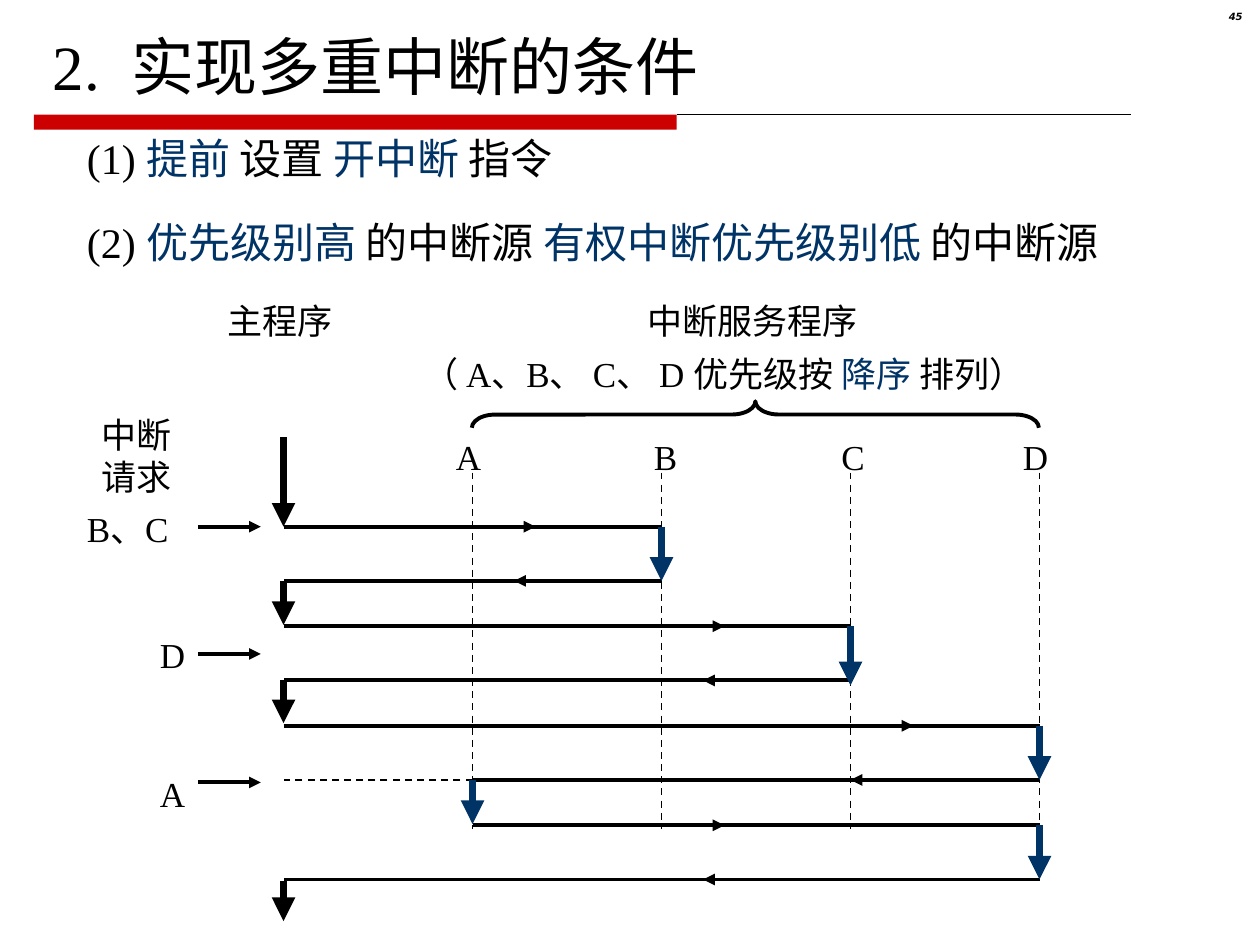
from lxml import etree
from pptx import Presentation
from pptx.dml.color import RGBColor
from pptx.enum.dml import MSO_LINE
from pptx.enum.shapes import MSO_CONNECTOR, MSO_SHAPE
from pptx.enum.text import MSO_ANCHOR, MSO_AUTO_SIZE, PP_ALIGN
from pptx.oxml.ns import qn
from pptx.util import Inches, Pt

BLACK, NAVY, RED = "000000", "003366", "CC0000"
SERIF = "Times New Roman"

TITLE = "2.  实现多重中断的条件"
CONDITIONS = [
    [("(1) ", BLACK), ("提前 ", NAVY), ("设置 ", BLACK), ("开中断 ", NAVY), ("指令", BLACK)],
    [("(2) ", BLACK), ("优先级别高 ", NAVY), ("的中断源 ", BLACK),
     ("有权中断优先级别低 ", NAVY), ("的中断源", BLACK)],
]
PRIORITY = [("（ A、B、 C、 D 优先级按 ", BLACK), ("降序 ", NAVY), ("排列）", BLACK)]

# Horizontal position of the main program and of each service routine
LANES = {"main": 2.25, "A": 3.75, "B": 5.25, "C": 6.75, "D": 8.25}
LANE_LABELS = {"A": (3.52, 0.4), "B": (5.09, 0.38), "C": (6.58, 0.38), "D": (8.02, 0.4)}

# y, lane left, lane entered, start of the direction arrow
TRANSFERS = [
    (4.18, "main", "B", 3.75),
    (4.61, "B", "main", 4.58),
    (4.97, "main", "C", 5.25),
    (5.4, "C", "main", 6.08),
    (5.76, "main", "D", 6.75),
    (6.19, "D", "A", 7.25),
    (6.55, "A", "D", 5.25),
    (6.98, "D", "main", 6.08),
]
# lane, top, bottom
RUNNING = [
    ("main", 3.47, 4.18), ("main", 4.61, 4.96), ("main", 5.4, 5.74), ("main", 6.99, 7.31),
    ("B", 4.18, 4.61), ("C", 4.97, 5.44), ("D", 5.76, 6.19), ("A", 6.19, 6.54),
    ("D", 6.55, 6.98),
]
# text, label left, label top, label width, arrow y
REQUESTS = [
    ("B、C", 0.59, 3.98, 0.98, 4.18),
    ("D", 1.17, 4.98, 0.4, 5.19),
    ("A", 1.17, 6.08, 0.4, 6.21),
]
ARROW = 0.5


def rgb(color):
    return RGBColor.from_string(color)


def add_runs(p, runs, size, font=SERIF):
    for text, color in runs:
        r = p.add_run()
        r.text = text
        r.font.size = Pt(size)
        r.font.name = font
        r.font.color.rgb = rgb(color)


def place(sp, x, y, w, h):
    sp.left, sp.top, sp.width, sp.height = (Inches(v) for v in (x, y, w, h))


def add_label(slide, x, y, w, h, *lines):
    tf = slide.shapes.add_textbox(Inches(x), Inches(y), Inches(w), Inches(h)).text_frame
    tf.word_wrap = False
    tf.auto_size = MSO_AUTO_SIZE.SHAPE_TO_FIT_TEXT
    for i, runs in enumerate(lines):
        p = tf.paragraphs[0] if i == 0 else tf.add_paragraph()
        add_runs(p, runs, 20)


def add_line(slide, x1, y1, x2, y2, width=2.25, color=BLACK, arrow=False, dashed=False):
    s = slide.shapes.add_connector(
        MSO_CONNECTOR.STRAIGHT, Inches(x1), Inches(y1), Inches(x2), Inches(y2))
    s.line.width = Pt(width)
    s.line.color.rgb = rgb(color)
    if dashed:
        s.line.dash_style = MSO_LINE.DASH
    spPr = s._element.spPr
    if arrow:
        etree.SubElement(spPr.find(qn("a:ln")), qn("a:tailEnd"), type="triangle")
    etree.SubElement(spPr, qn("a:effectLst"))


def add_heading(slide):
    bar = slide.shapes.add_shape(
        MSO_SHAPE.RECTANGLE, Inches(0.27), Inches(0.91), Inches(5.1), Inches(0.12))
    bar.shadow.inherit = False
    bar.fill.solid()
    bar.fill.fore_color.rgb = rgb(RED)
    bar.line.fill.background()
    add_line(slide, 5.37, 0.91, 8.98, 0.91, width=0.75)

    title = slide.shapes.title
    place(title, 0.42, 0.28, 5.9, 0.47)
    tf = title.text_frame
    tf.margin_left = tf.margin_top = tf.margin_right = tf.margin_bottom = 0
    tf.auto_size = MSO_AUTO_SIZE.NONE
    tf.vertical_anchor = MSO_ANCHOR.MIDDLE
    tf.word_wrap = False
    tf.paragraphs[0].alignment = PP_ALIGN.LEFT
    add_runs(tf.paragraphs[0], [(TITLE, BLACK)], 36)

    number = slide.shapes.add_textbox(Inches(9.37), Inches(0.05), Inches(0.59), Inches(0.23))
    number.text_frame.word_wrap = True
    p = number.text_frame.paragraphs[0]
    p.alignment = PP_ALIGN.RIGHT
    p.line_spacing = 0.8
    add_runs(p, [("45", BLACK)], 5.7, "DejaVu Sans")
    p.runs[0].font.bold = p.runs[0].font.italic = True


def add_conditions(slide):
    body = slide.placeholders[1]
    place(body, 0.59, 1, 8.91, 1.17)
    tf = body.text_frame
    tf.auto_size = MSO_AUTO_SIZE.NONE
    for i, runs in enumerate(CONDITIONS):
        p = tf.paragraphs[0] if i == 0 else tf.add_paragraph()
        pPr = p._p.get_or_add_pPr()
        pPr.set("marL", "0")
        pPr.set("indent", "0")
        etree.SubElement(pPr, qn("a:buNone"))
        p.space_before = Pt(19.5 if i else 0)
        add_runs(p, runs, 24)


def add_diagram(slide):
    add_label(slide, 0.71, 3.23, 0.77, 0.77, [("中断", BLACK)], [("请求", BLACK)])
    add_label(slide, 1.71, 2.33, 1.05, 0.44, [("主程序", BLACK)])
    add_label(slide, 5.04, 2.33, 1.87, 0.44, [("中断服务程序", BLACK)])
    add_label(slide, 3.26, 2.75, 5.52, 0.44, PRIORITY)

    brace = slide.shapes.add_shape(
        MSO_SHAPE.LEFT_BRACE, Inches(5.89), Inches(1.04), Inches(0.21), Inches(4.5))
    brace.rotation = 90
    brace.adjustments[0] = 0.89
    brace.shadow.inherit = False
    brace.fill.background()
    brace.line.color.rgb = rgb(BLACK)
    brace.line.width = Pt(2.25)

    for lane, (x, w) in LANE_LABELS.items():
        add_label(slide, x, 3.41, w, 0.44, [(lane, BLACK)])
        add_line(slide, LANES[lane], 3.75, LANES[lane], 6.58, width=1, dashed=True)
    add_line(slide, LANES["A"], 6.19, LANES["main"], 6.19, width=1, dashed=True)

    for y, source, target, start in TRANSFERS:
        x1, x2 = LANES[source], LANES[target]
        add_line(slide, x1, y, x2, y)
        add_line(slide, start, y, start + (ARROW if x2 > x1 else -ARROW), y, arrow=True)

    for text, x, top, w, y in REQUESTS:
        add_label(slide, x, top, w, 0.44, [(text, BLACK)])
        add_line(slide, x + w, y, x + w + ARROW, y, arrow=True)

    for lane, top, bottom in RUNNING:
        color = BLACK if lane == "main" else NAVY
        add_line(slide, LANES[lane], top, LANES[lane], bottom, 4.5, color, arrow=True)


def main():
    prs = Presentation()
    prs.slide_width, prs.slide_height = Inches(10), Inches(7.5)
    slide = prs.slides.add_slide(prs.slide_layouts[1])
    add_heading(slide)
    add_conditions(slide)
    add_diagram(slide)
    prs.save("out.pptx")


if __name__ == "__main__":
    main()
